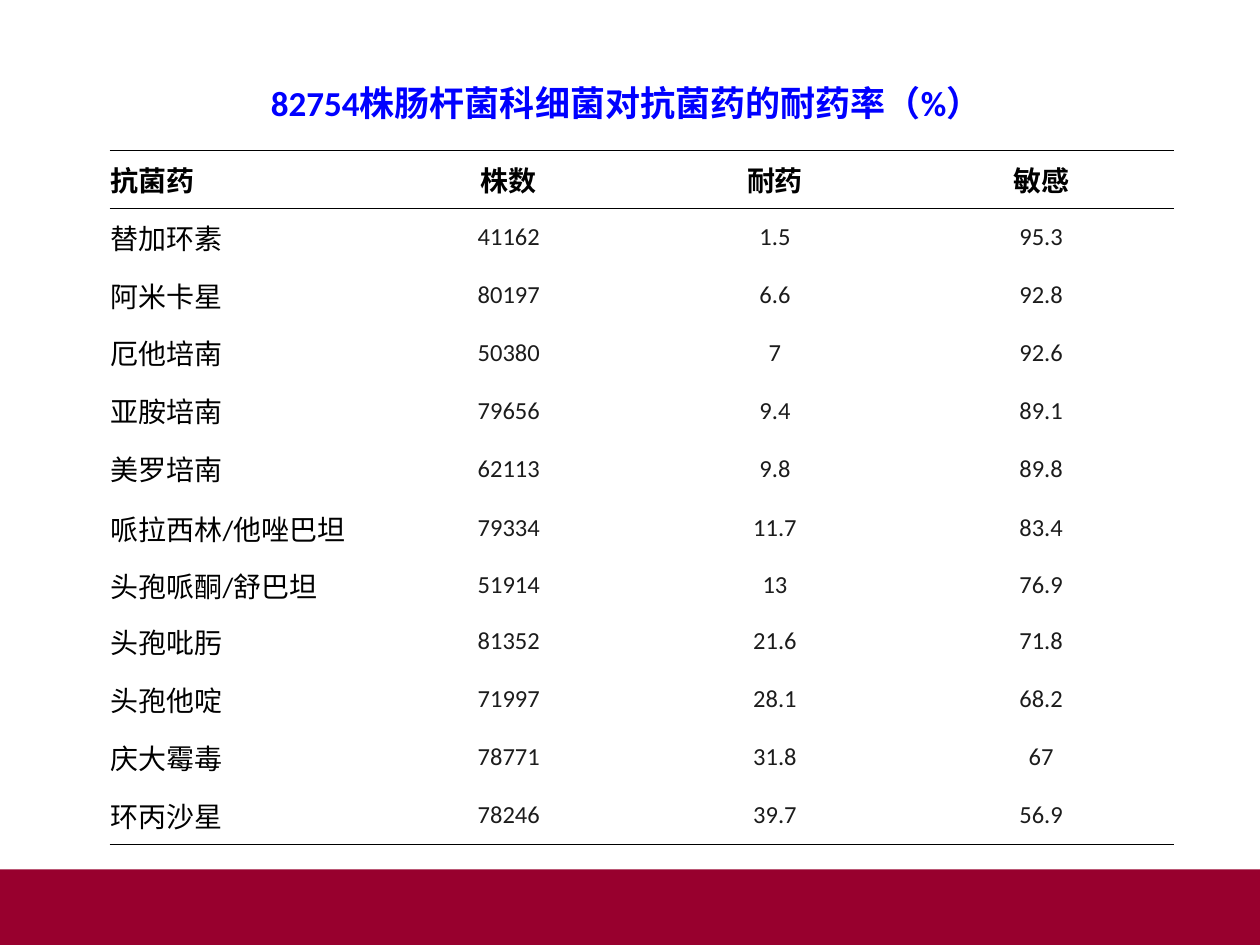
from lxml import etree
from pptx import Presentation
from pptx.dml.color import RGBColor
from pptx.enum.shapes import MSO_SHAPE
from pptx.enum.text import MSO_ANCHOR, PP_ALIGN
from pptx.oxml.ns import qn
from pptx.util import Inches, Pt

RECT = MSO_SHAPE.RECTANGLE
MID = MSO_ANCHOR.MIDDLE
LEFT, CENTER = PP_ALIGN.LEFT, PP_ALIGN.CENTER

COLORS = {"band": "98002E", "title": "0000FF", "text": "000000", "value": "1C1C1C"}
FONT = "Calibri"
RULE = Pt(0.23)
ROW = 0.46
TALL = {6: 0.48, 7: 0.43}

HEAD = ("抗菌药", "株数", "耐药", "敏感")
DRUGS = [
    ("替加环素", "41162", "1.5", "95.3"),
    ("阿米卡星", "80197", "6.6", "92.8"),
    ("厄他培南", "50380", "7", "92.6"),
    ("亚胺培南", "79656", "9.4", "89.1"),
    ("美罗培南", "62113", "9.8", "89.8"),
    ("哌拉西林/他唑巴坦", "79334", "11.7", "83.4"),
    ("头孢哌酮/舒巴坦", "51914", "13", "76.9"),
    ("头孢吡肟", "81352", "21.6", "71.8"),
    ("头孢他啶", "71997", "28.1", "68.2"),
    ("庆大霉毒", "78771", "31.8", "67"),
    ("环丙沙星", "78246", "39.7", "56.9"),
]


class Deck:
    def __init__(self):
        self.prs = Presentation()
        self.prs.slide_width = Inches(10)
        self.prs.slide_height = Inches(7.5)
        self.slide = self.prs.slides.add_slide(self.prs.slide_layouts[5])

    def style(self, para, size, color, bold, align):
        para.alignment = align
        font = para.font
        font.name, font.size, font.bold = FONT, Pt(size), bold
        font.color.rgb = RGBColor.from_string(COLORS[color])

    def band(self, *box):
        shape = self.slide.shapes.add_shape(RECT, *map(Inches, box))
        shape.shadow.inherit = False
        shape.fill.solid()
        shape.fill.fore_color.rgb = RGBColor.from_string(COLORS["band"])
        shape.line.fill.background()

    def title(self, text, *box):
        shape = self.slide.shapes.title
        shape.left, shape.top, shape.width, shape.height = map(Inches, box)
        frame = shape.text_frame
        frame.text = text
        frame.vertical_anchor = MID
        self.style(frame.paragraphs[0], 20, "title", True, CENTER)

    def border(self, cell, sides):
        props = cell._tc.get_or_add_tcPr()
        for side in "LRTB":
            line = etree.SubElement(props, qn(f"a:ln{side}"))
            if side in sides:
                line.set("w", str(RULE))
                fill = etree.SubElement(line, qn("a:solidFill"))
                etree.SubElement(fill, qn("a:srgbClr"), val=COLORS["text"])
            else:
                etree.SubElement(line, qn("a:noFill"))

    def cell(self, cell, text, size, color, bold, align, sides):
        cell.text = text
        cell.vertical_anchor = MID
        cell.margin_left = cell.margin_right = Inches(0.01)
        cell.margin_top = cell.margin_bottom = Inches(0.05)
        self.border(cell, sides)
        cell.fill.background()
        self.style(cell.text_frame.paragraphs[0], size, color, bold, align)

    def table(self, rows, *box):
        last = len(rows) - 1
        frame = self.slide.shapes.add_table(len(rows), len(rows[0]), *map(Inches, box))
        table = frame.table
        table.first_row = table.horz_banding = False
        for r, row in enumerate(rows):
            table.rows[r].height = Inches(TALL.get(r, ROW))
            sides = {0: "TB", 1: "T", last: "B"}.get(r, "")
            for c, text in enumerate(row):
                value = r > 0 and c > 0
                size, color = (14, "value") if value else (16, "text")
                align = CENTER if c else LEFT
                self.cell(table.cell(r, c), text, size, color, r == 0, align, sides)

    def save(self):
        self.prs.save("out.pptx")


def main():
    deck = Deck()
    deck.band(0, 6.9, 10, 0.6)
    deck.title("82754株肠杆菌科细菌对抗菌药的耐药率（%）", 0.08, 0.43, 9.78, 0.76)
    deck.table([HEAD, *DRUGS], 0.87, 1.19, 8.45, 5.48)
    deck.save()


if __name__ == "__main__":
    main()
